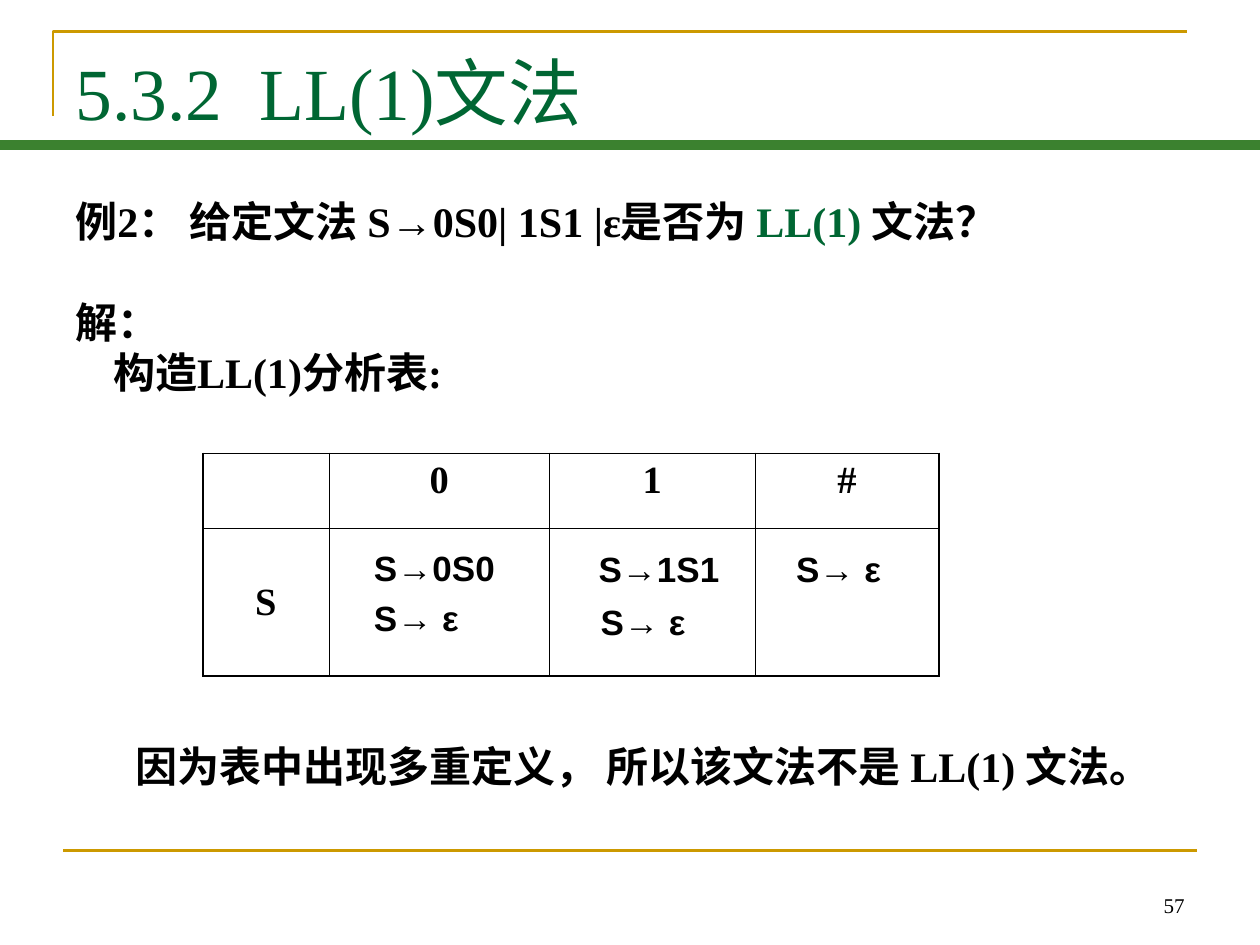
from lxml.etree import SubElement
from pptx import Presentation
from pptx.dml.color import RGBColor as RGB
from pptx.enum.shapes import MSO_CONNECTOR as CONN
from pptx.enum.text import MSO_ANCHOR as ANCHOR, PP_ALIGN as ALIGN
from pptx.oxml.ns import qn
from pptx.util import Cm, Pt

COLORS = {"ink": "000000", "green": "006633", "band": "3B812F", "gold": "CC9900"}
SERIF = {"name": "Times New Roman", "size": Pt(24), "bold": True}
RULE = {"name": "Arial", "size": Pt(20), "bold": True}
HEAD = {**SERIF, "size": Pt(22)}
TITLE = {**SERIF, "size": Pt(42), "bold": False}
NUMBER = {**SERIF, "size": Pt(12), "bold": False}


def rgb(name):
    """Return the named colour."""
    return RGB.from_string(COLORS[name])


def add_run(p, text, fmt, color="ink"):
    """Append a formatted run to a paragraph."""
    r = p.add_run()
    r.text = text
    for key, value in fmt.items():
        setattr(r.font, key, value)
    r.font.color.rgb = rgb(color)


def add_text(s, box, text, fmt, align=ALIGN.LEFT, anchor=ANCHOR.TOP, wrap=True):
    """Add a text box with one run and return its frame."""
    tf = s.shapes.add_textbox(*map(Cm, box)).text_frame
    tf.word_wrap, tf.vertical_anchor = wrap, anchor
    tf.paragraphs[0].alignment = align
    add_run(tf.paragraphs[0], text, fmt)
    return tf


def add_line(s, x1, x2, y, color, width):
    """Add a horizontal rule."""
    line = s.shapes.add_connector(CONN.STRAIGHT, Cm(x1), Cm(y), Cm(x2), Cm(y))
    line.line.color.rgb, line.line.width = rgb(color), Pt(width)
    SubElement(line._element.spPr, qn("a:effectLst"))


def add_corner(s):
    """Add the open corner line around the title."""
    fb = s.shapes.build_freeform(Cm(1.07), Cm(2.33))
    fb.add_line_segments([(Cm(1.07), Cm(0.64)), (Cm(23.93), Cm(0.64))], close=False)
    sp = fb.convert_to_shape()
    sp.shadow.inherit = False
    sp.fill.background()
    sp.line.color.rgb, sp.line.width = rgb("gold"), Pt(1.5)


def add_title(s, text):
    """Place and format the title placeholder."""
    sp = s.shapes.title
    sp.left, sp.top, sp.width, sp.height = map(Cm, (1.27, 0.76, 22.83, 2.16))
    tf = sp.text_frame
    tf.vertical_anchor = ANCHOR.MIDDLE
    tf.paragraphs[0].alignment = ALIGN.LEFT
    add_run(tf.paragraphs[0], text, TITLE, "green")


def add_question(s):
    """Add the example and the start of its solution."""
    tf = add_text(s, (1.27, 3.81, 25.1, 4.32), "例2： 给定文法 S→0S0| 1S1 |ε是否为 ", SERIF)
    add_run(tf.paragraphs[0], "LL(1) ", SERIF, "green")
    add_run(tf.paragraphs[0], "文法？", SERIF)
    p = tf.add_paragraph()
    p.space_before = Pt(29)
    add_run(p, "解：", SERIF)
    p = tf.add_paragraph()
    p._p.get_or_add_pPr().set("marL", str(Cm(0.76)))
    add_run(p, "构造LL(1)分析表:", SERIF)


def set_borders(cell, outer):
    """Draw the four borders, thick where the edge is an outer one."""
    tcPr = cell._tc.get_or_add_tcPr()
    for i, (side, thick) in enumerate(outer.items()):
        ln = tcPr.makeelement(qn(f"a:{side}"), {"w": str(Pt(1.08 if thick else 0.45))})
        fill = SubElement(ln, qn("a:solidFill"))
        SubElement(fill, qn("a:srgbClr"), val=COLORS["ink"])
        tcPr.insert(i, ln)


def add_parse_table(s):
    """Add the analysis table."""
    rows = [["", "0", "1", "#"], ["S", "", "", ""]]
    widths, heights = (2.54, 4.45, 4.14, 3.71), (1.52, 2.97)
    frame = s.shapes.add_table(2, 4, Cm(4.09), Cm(9.14), Cm(sum(widths)), Cm(sum(heights)))
    table = frame.table
    table.first_row = table.horz_banding = False
    for col, width in zip(table.columns, widths):
        col.width = Cm(width)
    for i, row in enumerate(rows):
        table.rows[i].height = Cm(heights[i])
        for j, text in enumerate(row):
            cell = table.cell(i, j)
            cell.fill.background()
            cell.vertical_anchor = ANCHOR.MIDDLE if i else ANCHOR.TOP
            set_borders(cell, {"lnL": j == 0, "lnR": j == 3, "lnT": i == 0, "lnB": i == 1})
            if text:
                p = cell.text_frame.paragraphs[0]
                p.alignment = ALIGN.CENTER
                add_run(p, text, HEAD)


def main():
    """Build the slide and save it."""
    prs = Presentation()
    prs.slide_width, prs.slide_height = Cm(25.4), Cm(19.05)
    s = prs.slides.add_slide(prs.slide_layouts[5])
    add_corner(s)
    add_line(s, 1.27, 24.13, 17.15, "gold", 1.5)
    add_text(s, (18.21, 17.35, 5.92, 1.27), "57", NUMBER, ALIGN.RIGHT, ANCHOR.BOTTOM)
    add_line(s, 0, 25.4, 2.92, "band", 6)
    add_question(s)
    add_parse_table(s)
    add_text(s, (2.48, 14.81, 22.4, 1.27), "因为表中出现多重定义， 所以该文法不是 LL(1) 文法。", SERIF)
    add_title(s, "5.3.2  LL(1)文法")
    add_text(s, (7.29, 10.9, 3, 1.12), "S→0S0", RULE)
    add_text(s, (7.29, 11.91, 3.2, 1.12), "S→ ε", RULE)
    add_text(s, (11.81, 10.92, 2.95, 1.12), "S→1S1", RULE, ALIGN.CENTER, wrap=False)
    add_text(s, (11.63, 11.99, 2.67, 1.12), "S→ ε", RULE, ALIGN.CENTER)
    add_text(s, (15.8, 10.92, 3.1, 1.12), "S→ ε", RULE)
    prs.save("out.pptx")


if __name__ == "__main__":
    main()
